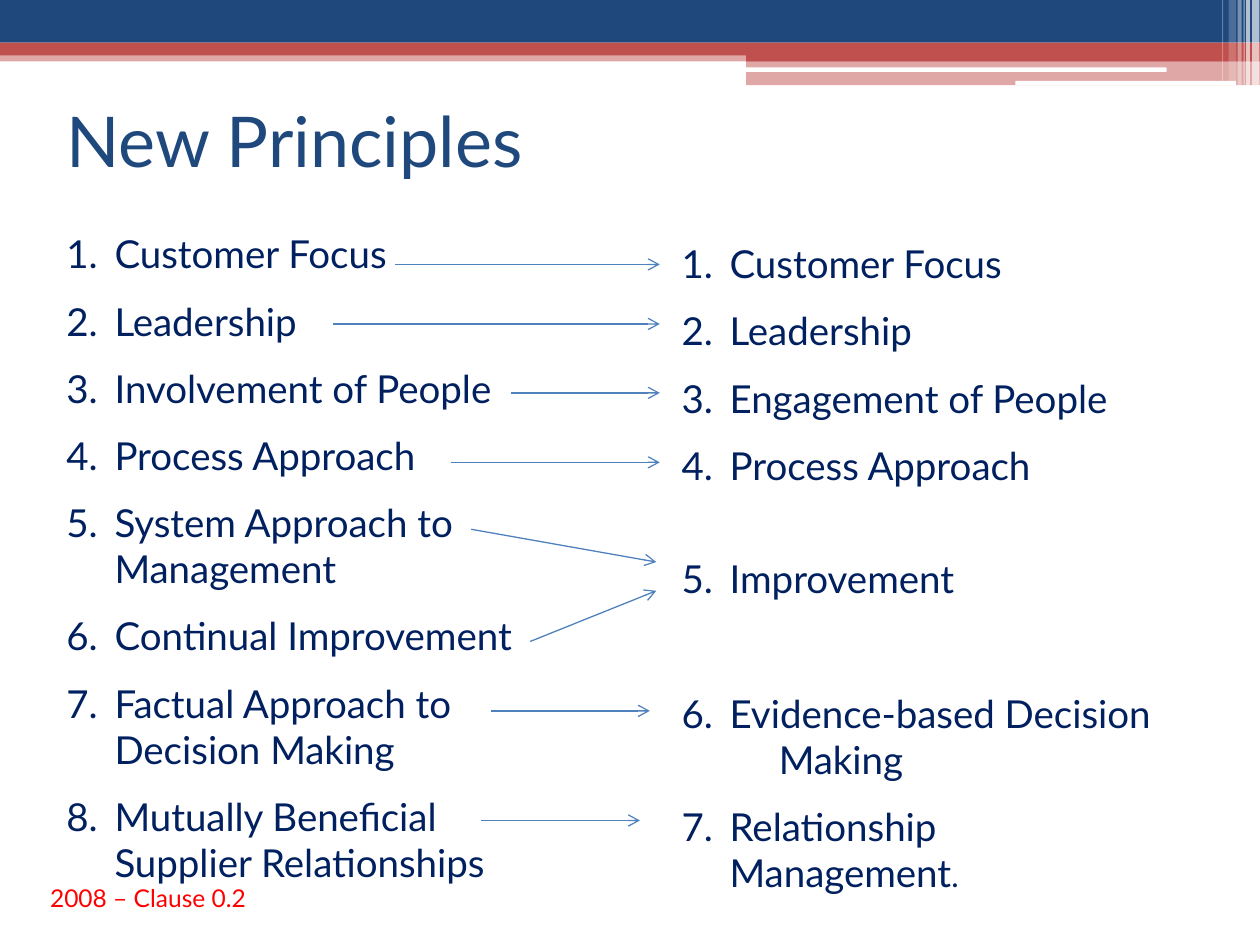
from lxml import etree
from pptx import Presentation
from pptx.dml.color import RGBColor
from pptx.enum import shapes, text
from pptx.oxml.ns import qn
from pptx.util import Cm, Pt

BLUE = RGBColor(0x1F, 0x49, 0x7D)
RED = RGBColor(0xC0, 0x50, 0x4D)
WHITE = RGBColor(0xFF, 0xFF, 0xFF)
NAVY = RGBColor(0x00, 0x20, 0x60)
ARROW = RGBColor(0x4F, 0x81, 0xBD)
NOTE = RGBColor(0xFF, 0x00, 0x00)

FONT = "Lato"
WIDTH, HEIGHT = 25.4, 19.05
SPLIT = 15.04
HANGING = 0.97
GAP = 12
RECT = shapes.MSO_SHAPE.RECTANGLE
ROUND = shapes.MSO_SHAPE.ROUNDED_RECTANGLE

BANDS = [
    (RECT, (0, 1.02, WIDTH, 0.22), RED, 50),
    (RECT, (0, 0, WIDTH, 0.86), BLUE, 100),
    (RECT, (0, 0.86, WIDTH, 0.26), RED, 100),
    (RECT, (SPLIT, 0.99, WIDTH - SPLIT, 0.25), RED, 100),
    (RECT, (SPLIT, 1.23, WIDTH - SPLIT, 0.49), RED, 50),
    (ROUND, (15.01, 1.36, 8.51, 0.09), WHITE, 100),
    (ROUND, (20.47, 1.63, 4.45, 0.09), WHITE, 100),
]
STRIPES = [
    (25.24, 0.15, 1.73, 65),
    (25.12, 0.08, 1.73, 65),
    (25.07, 0.02, 1.73, 60),
    (24.95, 0.08, 1.73, 40),
    (24.77, 0.15, 1.63, 20),
    (24.64, 0.02, 1.63, 30),
]

TITLE = "New Principles"
TITLE_BOX = (1.09, 1.32, 22.86, 2.97)
FOOTNOTE = "2008 – Clause 0.2"
FOOTNOTE_BOX = (0.76, 17.68, 7.21, 0.86)

OLD_BOX = (1.09, 4.52, 10.41, 13.46)
OLD_PRINCIPLES = [
    {"text": "Customer Focus"},
    {"text": "Leadership"},
    {"text": "Involvement of People"},
    {"text": "Process Approach"},
    {"text": "System Approach to Management"},
    {"text": "Continual Improvement"},
    {"text": "Factual Approach to Decision Making"},
    {"text": "Mutually Beneficial Supplier Relationships"},
]
NEW_BOX = (13.49, 4.72, 10.21, 13.46)
NEW_PRINCIPLES = [
    {"text": "Customer Focus"},
    {"text": "Leadership"},
    {"text": "Engagement of People"},
    {"text": "Process Approach"},
    {"text": "Improvement", "before": 38.5},
    {"text": "Evidence-based Decision", "before": 50.4},
    {"text": "Making", "before": 0, "indent": 1.96},
    {"text": "Relationship Management", "start": 7, "ending": "."},
]
ARROWS = [
    (7.97, 5.33, 13.3, 5.33),
    (6.71, 6.53, 13.3, 6.53),
    (10.31, 7.92, 13.3, 7.92),
    (9.09, 9.32, 13.3, 9.32),
    (9.5, 10.67, 13.23, 11.33),
    (10.69, 12.93, 13.23, 11.91),
    (9.9, 14.33, 13.1, 14.33),
    (9.7, 16.54, 12.9, 16.54),
]


def lengths(values):
    return [Cm(value) for value in values]


def format_font(font, size, color):
    for name, value in {"name": FONT, "size": Pt(size), "bold": False}.items():
        setattr(font, name, value)
    font.color.rgb = color


def add_band(slide, kind, box, color, opacity):
    shape = slide.shapes.add_shape(kind, *lengths(box))
    shape.shadow.inherit = False
    shape.line.fill.background()
    shape.fill.solid()
    shape.fill.fore_color.rgb = color
    if opacity < 100:
        color_element = shape.fill._xPr.find(".//" + qn("a:srgbClr"))
        etree.SubElement(color_element, qn("a:alpha"), val=str(opacity * 1000))


def add_text_box(slide, box):
    frame = slide.shapes.add_textbox(*lengths(box)).text_frame
    frame.word_wrap = True
    return frame


def set_indent(paragraph, item):
    properties = paragraph._p.get_or_add_pPr()
    if "indent" in item:
        properties.set("marL", str(Cm(item["indent"])))
        properties.set("indent", "0")
        etree.SubElement(properties, qn("a:buNone"))
        return
    properties.set("marL", str(Cm(HANGING)))
    properties.set("indent", str(-Cm(HANGING)))
    bullet_color = etree.SubElement(properties, qn("a:buClr"))
    etree.SubElement(bullet_color, qn("a:srgbClr"), val=str(NAVY))
    bullet = etree.SubElement(properties, qn("a:buAutoNum"), type="arabicPeriod")
    if "start" in item:
        bullet.set("startAt", str(item["start"]))


def add_list(slide, box, items):
    frame = add_text_box(slide, box)
    for index, item in enumerate(items):
        paragraph = frame.add_paragraph() if index else frame.paragraphs[0]
        set_indent(paragraph, item)
        paragraph.space_before = Pt(item.get("before", GAP) if index else 0)
        for content, size in ((item["text"], 22), (item.get("ending"), 18)):
            if content:
                run = paragraph.add_run()
                run.text = content
                format_font(run.font, size, NAVY)


def add_arrow(slide, ends):
    connector = slide.shapes.add_connector(
        shapes.MSO_CONNECTOR.STRAIGHT, *lengths(ends))
    connector.line.color.rgb = ARROW
    connector.line.width = Pt(0.75)
    etree.SubElement(connector.line._get_or_add_ln(), qn("a:tailEnd"), type="arrow")
    etree.SubElement(connector._element.spPr, qn("a:effectLst"))


def add_title(slide):
    title = slide.shapes.title
    for name, value in zip(("left", "top", "width", "height"), TITLE_BOX):
        setattr(title, name, Cm(value))
    frame = title.text_frame
    frame.text = TITLE
    frame.vertical_anchor = text.MSO_ANCHOR.MIDDLE
    frame.paragraphs[0].alignment = text.PP_ALIGN.LEFT
    format_font(frame.paragraphs[0].runs[0].font, 40, BLUE)


def main():
    presentation = Presentation()
    presentation.slide_width, presentation.slide_height = Cm(WIDTH), Cm(HEIGHT)
    slide = presentation.slides.add_slide(presentation.slide_layouts[5])
    for band in BANDS:
        add_band(slide, *band)
    for left, width, height, opacity in STRIPES:
        add_band(slide, RECT, (left, 0, width, height), WHITE, opacity)
    add_title(slide)
    add_list(slide, OLD_BOX, OLD_PRINCIPLES)
    add_list(slide, NEW_BOX, NEW_PRINCIPLES)
    for ends in ARROWS:
        add_arrow(slide, ends)
    footnote = add_text_box(slide, FOOTNOTE_BOX)
    footnote.text = FOOTNOTE
    format_font(footnote.paragraphs[0].runs[0].font, 14, NOTE)
    presentation.save("out.pptx")


if __name__ == "__main__":
    main()
